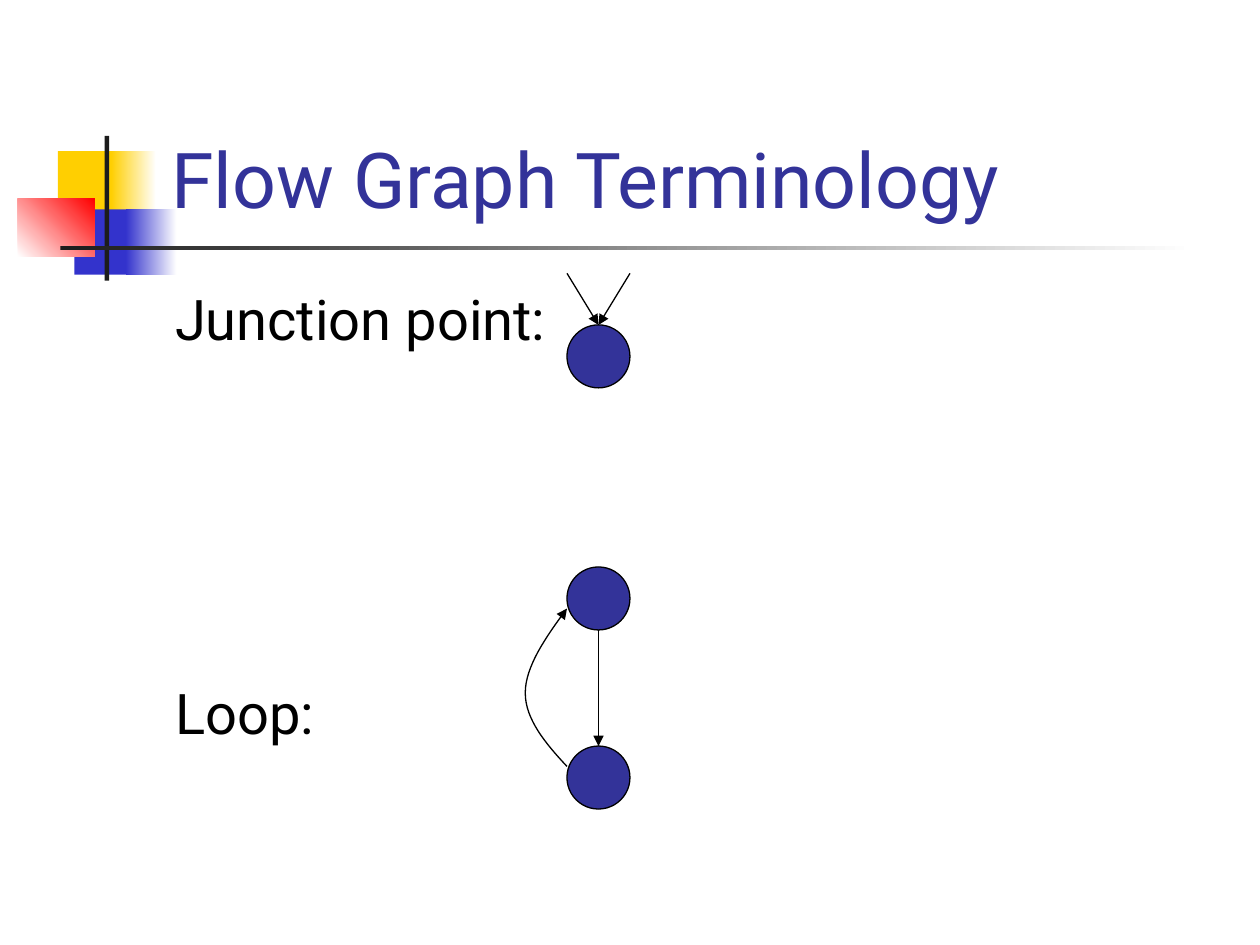
from pptx import Presentation
from pptx.dml.color import RGBColor
from pptx.enum.shapes import MSO_CONNECTOR as Link, MSO_SHAPE as Preset
from pptx.enum.text import MSO_ANCHOR as Anchor
from pptx.oxml.ns import qn
from pptx.util import Cm, Pt
from lxml.etree import SubElement

COLORS = {
    "yellow": "FFCF01", "blue": "3333CC", "red": "FF0000", "dark": "1C1C1C",
    "white": "FFFFFF", "black": "000000", "indigo": "333399",
}
FONT = "Roboto"
NODE = 1.27
NODE_LEFT = 11.43
NODE_RIGHT = NODE_LEFT + NODE
NODE_MIDDLE = NODE_LEFT + NODE / 2


def color(name):
    return RGBColor.from_string(COLORS[name])


def bezier(points, steps=16):
    for step in range(1, steps + 1):
        t = step / steps
        weights = ((1 - t) ** 3, 3 * t * (1 - t) ** 2, 3 * t ** 2 * (1 - t), t ** 3)
        yield tuple(sum(w * point[axis] for w, point in zip(weights, points)) for axis in (0, 1))


class SlideBuilder:
    """Draws styled elements on the current slide."""

    def __init__(self, page):
        self.page = page
        self.target = page.shapes

    def start_group(self):
        self.target = self.page.shapes.add_group_shape().shapes

    def block(self, left, top, width, height, start, end=None, angle=0):
        box = self.page.shapes.add_shape(Preset.RECTANGLE, Cm(left), Cm(top), Cm(width), Cm(height))
        box.shadow.inherit = False
        box.line.fill.background()
        if end is None:
            box.fill.solid()
            box.fill.fore_color.rgb = color(start)
            return
        box.fill.gradient()
        box.fill.gradient_angle = angle
        for stop, name in zip(box.fill.gradient_stops, (start, end)):
            stop.color.rgb = color(name)

    def text(self, left, top, width, height, lines, size, name, anchor=Anchor.TOP, gap=0):
        box = self.page.shapes.add_textbox(Cm(left), Cm(top), Cm(width), Cm(height))
        frame = box.text_frame
        frame.word_wrap = True
        frame.vertical_anchor = anchor
        frame.text = "\n".join(lines)
        for index, para in enumerate(frame.paragraphs):
            para.space_before = Pt(gap if index else 0)
            for span in para.runs:
                span.font.name = FONT
                span.font.size = Pt(size)
                span.font.color.rgb = color(name)

    def outline(self, shape):
        shape.line.color.rgb = color("black")
        shape.line.width = Pt(0.75)

    def arrowhead(self, shape):
        self.outline(shape)
        SubElement(shape.line._get_or_add_ln(), qn("a:tailEnd"), type="triangle")

    def node(self, top):
        circle = self.target.add_shape(Preset.OVAL, Cm(NODE_LEFT), Cm(top), Cm(NODE), Cm(NODE))
        circle.shadow.inherit = False
        circle.fill.solid()
        circle.fill.fore_color.rgb = color("indigo")
        self.outline(circle)

    def arrow(self, start, end):
        line = self.target.add_connector(Link.STRAIGHT, *map(Cm, start + end))
        self.arrowhead(line)
        SubElement(line._element.spPr, qn("a:effectLst"))

    def curved_arrow(self, start, *segments):
        points = []
        origin = start
        for segment in segments:
            points += bezier((origin, *segment))
            origin = segment[-1]
        pen = self.target.build_freeform(Cm(start[0]), Cm(start[1]))
        pen.add_line_segments([(Cm(x), Cm(y)) for x, y in points], close=False)
        curve = pen.convert_to_shape()
        curve.shadow.inherit = False
        curve.fill.background()
        self.arrowhead(curve)


def main():
    deck = Presentation()
    deck.slide_width, deck.slide_height = Cm(25.4), Cm(19.05)
    builder = SlideBuilder(deck.slides.add_slide(deck.slide_layouts[6]))

    builder.block(1.17, 3.05, 1.22, 1.32, "yellow")
    builder.block(2.24, 3.05, 0.91, 1.32, "yellow", "white")
    builder.block(1.5, 4.22, 1.17, 1.32, "blue")
    builder.block(2.54, 4.22, 1.02, 1.32, "blue", "white")
    builder.block(0.36, 4.01, 1.55, 1.17, "white", "red", 45)
    builder.block(2.11, 2.74, 0.09, 2.92, "dark")
    builder.block(1.22, 4.95, 22.86, 0.09, "dark", "white")

    builder.text(3.2, 0.58, 21.64, 4.06, ["Flow Graph Terminology"], 44, "indigo", Anchor.BOTTOM)
    builder.text(3.28, 5.61, 21.59, 11.43, ["Junction point:", "Loop:"], 32, "black", gap=187)

    junction_top = 6.55
    builder.start_group()
    builder.node(junction_top)
    for x in (NODE_LEFT, NODE_RIGHT):
        builder.arrow((x, 5.51), (NODE_MIDDLE, junction_top))

    upper, lower = 11.43, 15.04
    builder.start_group()
    builder.node(lower)
    builder.node(upper)
    builder.arrow((NODE_MIDDLE, upper + NODE), (NODE_MIDDLE, lower))
    builder.curved_arrow(
        (NODE_LEFT, 15.45),
        ((11, 14.99), (10.59, 14.5), (10.59, 13.97)),
        ((10.59, 13.44), (11, 12.85), (NODE_LEFT, 12.27)),
    )
    deck.save("out.pptx")


if __name__ == "__main__":
    main()
